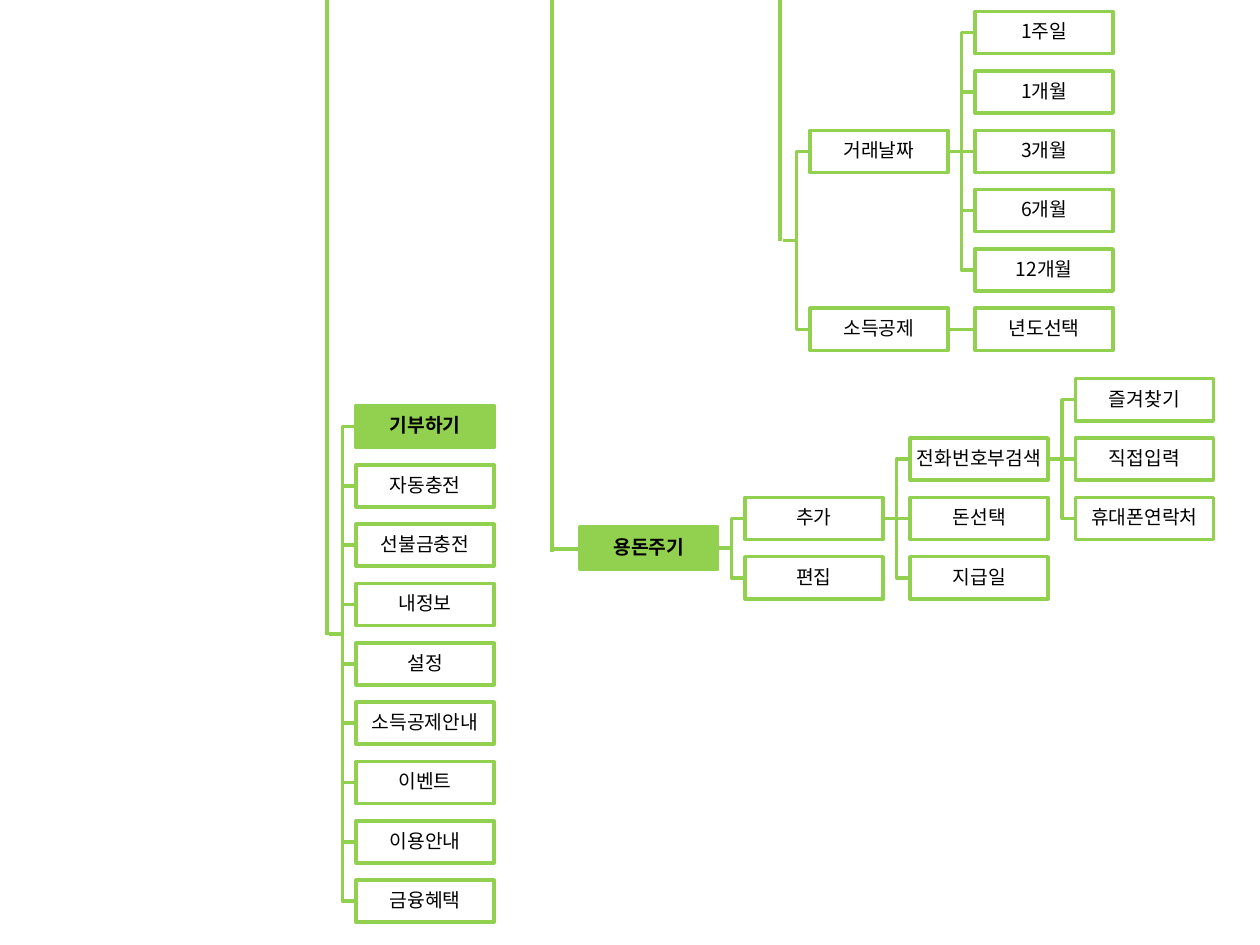
import lxml.etree
import pptx
import pptx.dml.color
import pptx.enum.shapes
import pptx.enum.text
import pptx.oxml.ns
import pptx.util

Cm = pptx.util.Cm
Pt = pptx.util.Pt

# Each menu node is (label, row, children).
TREES = [
    {"left": 13.0, "first_row": 0.66, "root": (None, 3.5, [
        ("거래날짜", 2, [
            ("1주일", 0, []),
            ("1개월", 1, []),
            ("3개월", 2, []),
            ("6개월", 3, []),
            ("12개월", 4, []),
        ]),
        ("소득공제", 5, [("년도선택", 5, [])]),
    ])},
    {"left": 11.69, "first_row": 8.06, "root": ("용돈주기", 2.5, [
        ("추가", 2, [
            ("전화번호부검색", 1, [
                ("즐겨찾기", 0, []),
                ("직접입력", 1, []),
                ("휴대폰연락처", 2, []),
            ]),
            ("돈선택", 2, []),
            ("지급일", 3, []),
        ]),
        ("편집", 3, []),
    ])},
    {"left": 3.85, "first_row": 8.6, "root": (None, 3.5, [
        (label, row, []) for row, label in enumerate([
            "기부하기", "자동충전", "선불금충전", "내정보", "설정",
            "소득공제안내", "이벤트", "이용안내", "금융혜택",
        ])
    ])},
]
HIGHLIGHTED = {"기부하기", "용돈주기"}
TRUNKS = [
    ((15.72, 0), (15.72, 4.85)),
    ((11.12, 0), (11.12, 11.12)),
    ((11.68, 11.07), (11.1, 11.07)),
    ((6.6, 0), (6.6, 12.8)),
]

THEME = {
    "green": pptx.dml.color.RGBColor.from_string("92D050"),
    "white": pptx.dml.color.RGBColor.from_string("FFFFFF"),
    "black": pptx.dml.color.RGBColor.from_string("000000"),
    "font": "Noto Sans CJK KR",
    "label_size": 11,
    "branch_width": 2,
    "trunk_width": 2.25,
}
BOX_WIDTH, BOX_HEIGHT = 2.78, 0.85
COLUMN_PITCH, ROW_PITCH = 3.33, 1.196
MARGIN = 0.03


def write_text(frame, text, *, size, color, bold=False):
    frame.word_wrap = True
    frame.vertical_anchor = pptx.enum.text.MSO_ANCHOR.MIDDLE
    frame.margin_left = frame.margin_right = Cm(MARGIN)
    frame.margin_top = frame.margin_bottom = Cm(MARGIN)
    paragraph = frame.paragraphs[0]
    paragraph.alignment = pptx.enum.text.PP_ALIGN.CENTER
    paragraph.line_spacing = 0.9
    run = paragraph.add_run()
    run.text = text
    run.font.size = Pt(size)
    run.font.bold = bold
    run.font.color.rgb = color
    run.font.name = THEME["font"]
    east_asian = lxml.etree.SubElement(
        run.font._element, pptx.oxml.ns.qn("a:ea"))
    east_asian.set("typeface", THEME["font"])


def draw_line(slide, start, end, width):
    kinds = pptx.enum.shapes.MSO_CONNECTOR
    aligned = start[0] == end[0] or start[1] == end[1]
    line = slide.shapes.add_connector(
        kinds.STRAIGHT if aligned else kinds.ELBOW,
        *(Cm(value) for value in (*start, *end)))
    line.line.color.rgb = THEME["green"]
    line.line.width = Pt(width)
    lxml.etree.SubElement(
        line._element.spPr, pptx.oxml.ns.qn("a:effectLst"))


def draw_menu(slide, label, left, middle):
    menu = slide.shapes.add_shape(
        pptx.enum.shapes.MSO_SHAPE.RECTANGLE,
        Cm(left), Cm(middle - BOX_HEIGHT / 2), Cm(BOX_WIDTH), Cm(BOX_HEIGHT))
    highlighted = label in HIGHLIGHTED
    menu.shadow.inherit = False
    menu.fill.solid()
    menu.fill.fore_color.rgb = THEME["green" if highlighted else "white"]
    menu.line.color.rgb = THEME["green"]
    menu.line.width = Pt(THEME["branch_width"])
    write_text(menu.text_frame, label, size=THEME["label_size"],
               color=THEME["black"], bold=highlighted)


def draw_tree(slide, node, left, first_row):
    label, row, children = node
    middle = first_row + row * ROW_PITCH
    child_left = left + COLUMN_PITCH
    for child in children:
        child_middle = first_row + child[1] * ROW_PITCH
        draw_line(slide, (left + BOX_WIDTH, middle),
                  (child_left, child_middle), THEME["branch_width"])
        draw_tree(slide, child, child_left, first_row)
    if label:
        draw_menu(slide, label, left, middle)


def main():
    deck = pptx.Presentation()
    deck.slide_width, deck.slide_height = Cm(25.4), Cm(19.05)
    slide = deck.slides.add_slide(deck.slide_layouts[6])
    for tree in TREES:
        draw_tree(slide, tree["root"], tree["left"], tree["first_row"])
    for start, end in TRUNKS:
        draw_line(slide, start, end, THEME["trunk_width"])
    deck.save("out.pptx")


if __name__ == "__main__":
    main()
